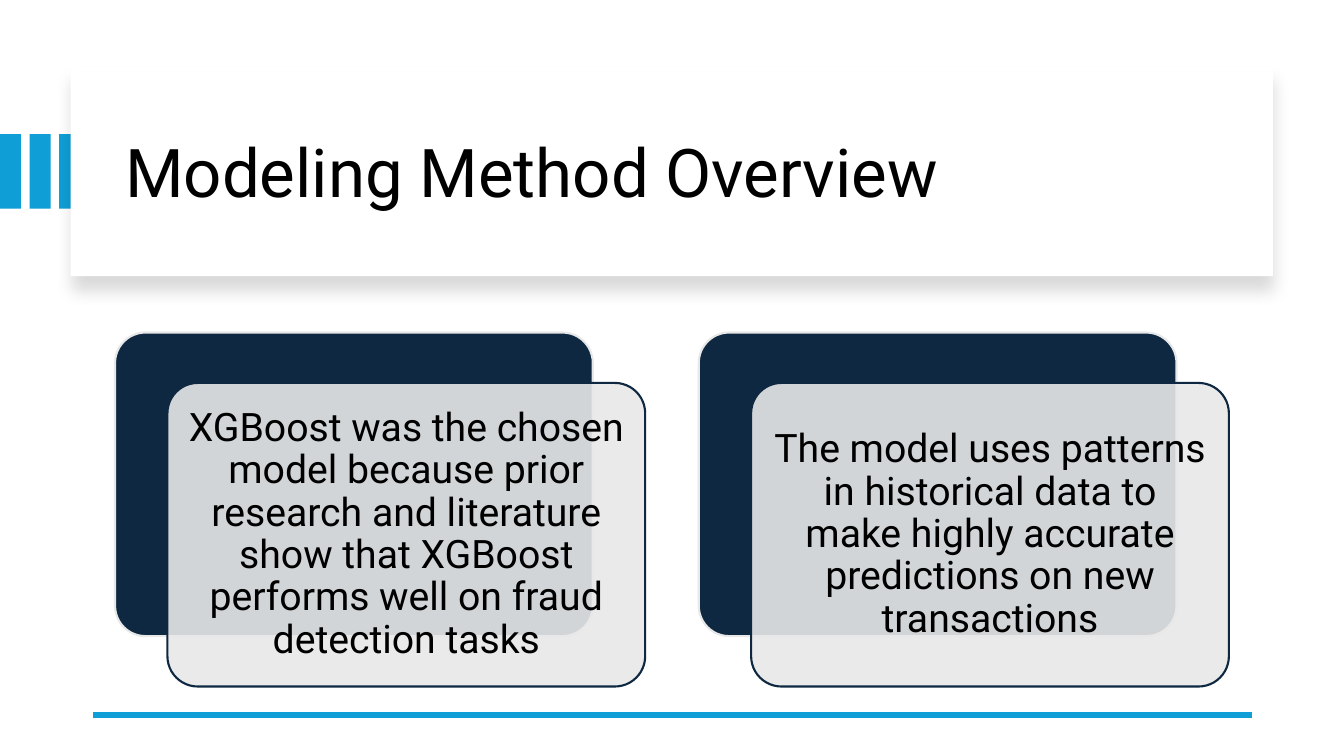
from lxml.etree import SubElement
from pptx import Presentation
from pptx.dml.color import RGBColor
from pptx.enum.shapes import MSO_CONNECTOR, MSO_SHAPE
from pptx.enum.text import MSO_ANCHOR, PP_ALIGN
from pptx.oxml import parse_xml
from pptx.oxml.ns import nsdecls, qn
from pptx.util import Cm, Pt

BLUE, NAVY, GREY, WHITE, BLACK = "0F9ED5", "0E2841", "E8E8E8", "FFFFFF", "000000"
REASONS = [
    "XGBoost was the chosen model because prior research and literature show that "
    "XGBoost performs well on fraud detection tasks",
    "The model uses patterns in historical data to make highly accurate "
    "predictions on new transactions",
]

prs = Presentation()
prs.slide_width, prs.slide_height = Cm(33.87), Cm(19.05)
slide = prs.slides.add_slide(prs.slide_layouts[5])
shapes = slide.shapes


def add_block(kind, left, top, width, height, fill, line=None):
    """Add a filled shape, measured in centimetres, without a shadow."""
    block = shapes.add_shape(kind, Cm(left), Cm(top), Cm(width), Cm(height))
    block.shadow.inherit = False
    block.fill.solid()
    block.fill.fore_color.rgb = RGBColor.from_string(fill)
    if line:
        block.line.color.rgb = RGBColor.from_string(line)
        block.line.width = Pt(1.5)
        block.adjustments[0] = 0.1
    else:
        block.line.fill.background()
    return block


def format_text(frame, size, align):
    frame.word_wrap = True
    frame.vertical_anchor = MSO_ANCHOR.MIDDLE
    paragraph = frame.paragraphs[0]
    paragraph.alignment = align
    paragraph.line_spacing = 0.9
    font = paragraph.runs[0].font
    font.name, font.size = "Roboto", Pt(size)
    font.color.rgb = RGBColor.from_string(BLACK)


# Heading: three stripes running under a raised white panel
for stripe in range(3):
    add_block(MSO_SHAPE.RECTANGLE, 0.745 * stripe, 3.38, 0.53, 1.88, BLUE)

panel = add_block(MSO_SHAPE.RECTANGLE, 1.78, 1.7, 30.3, 5.26, WHITE)
effects = panel._element.spPr.find(qn("a:effectLst"))
effects.append(parse_xml(
    f'<a:outerShdw {nsdecls("a")} blurRad="{Pt(11)}" dist="{Pt(10)}" dir="5400000" '
    f'algn="t" rotWithShape="0"><a:srgbClr val="{BLACK}"><a:alpha val="15000"/>'
    "</a:srgbClr></a:outerShdw>"))

title = shapes.title
title.left, title.top, title.width, title.height = Cm(2.9), Cm(2.26), Cm(28.27), Cm(4.32)
title.text_frame.text = "Modeling Method Overview"
format_text(title.text_frame, 48, PP_ALIGN.LEFT)
shapes._spTree.append(title._element)  # in front of the panel

footer_rule = shapes.add_connector(
    MSO_CONNECTOR.STRAIGHT, Cm(31.55), Cm(18.01), Cm(2.34), Cm(18.01))
footer_rule.line.color.rgb = RGBColor.from_string(BLUE)
footer_rule.line.width = Pt(4.5)
SubElement(footer_rule._element.spPr, qn("a:effectLst"))

# Cards: a translucent front overlapping a navy back
for column, reason in enumerate(REASONS):
    left, top = 2.9 + 14.71 * column, 8.38
    add_block(MSO_SHAPE.ROUNDED_RECTANGLE, left, top, 12.04, 7.65, NAVY, GREY)
    front = add_block(
        MSO_SHAPE.ROUNDED_RECTANGLE, left + 1.32, top + 1.27, 12.04, 7.65, GREY, NAVY)
    fill_color = front._element.spPr.find(qn("a:solidFill")).find(qn("a:srgbClr"))
    SubElement(fill_color, qn("a:alpha"), val="90000")
    frame = front.text_frame
    frame.margin_left = frame.margin_right = Cm(0.3)
    frame.margin_top = frame.margin_bottom = Cm(0.3)
    frame.text = reason
    format_text(frame, 28, PP_ALIGN.CENTER)

prs.save("out.pptx")
